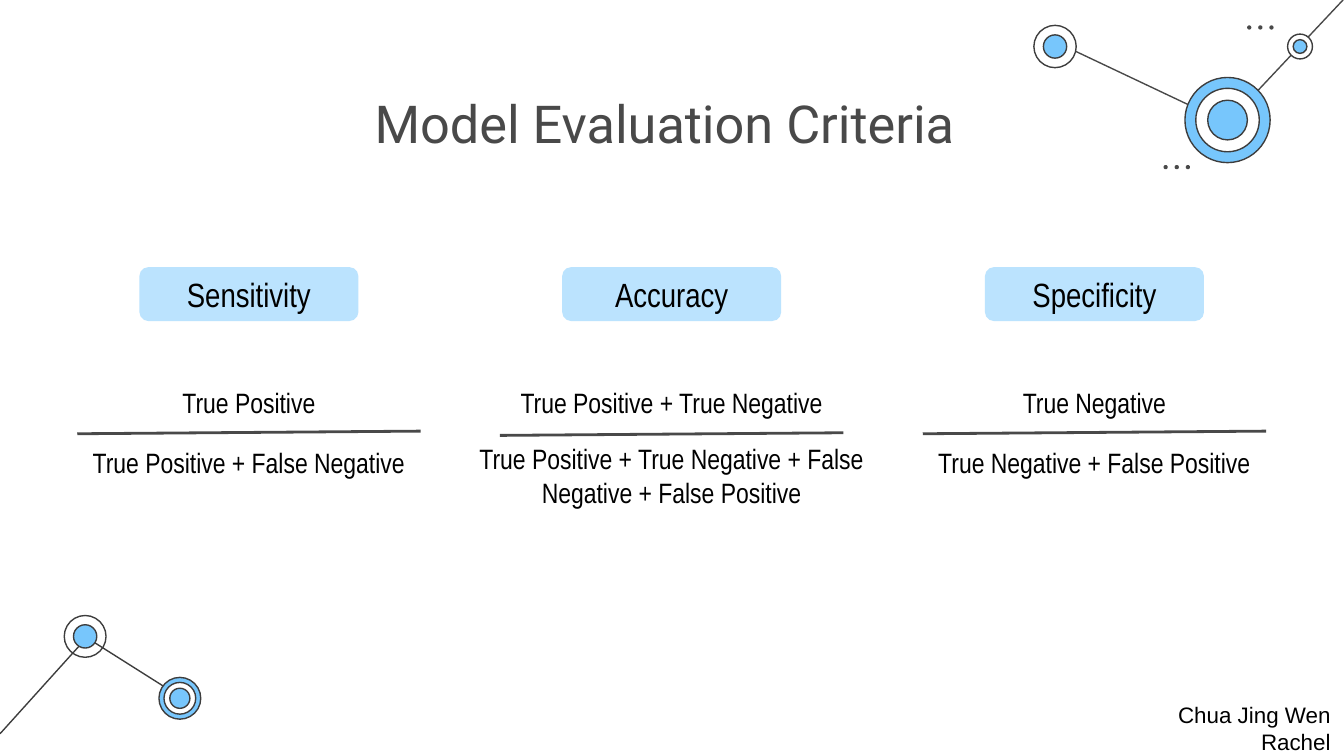
from dataclasses import dataclass

from lxml.etree import SubElement
from pptx import Presentation
from pptx.dml.color import RGBColor
from pptx.enum.shapes import MSO_CONNECTOR as Connector, MSO_SHAPE as Shape
from pptx.enum.text import MSO_ANCHOR as Anchor, MSO_AUTO_SIZE as AutoSize, PP_ALIGN as Align
from pptx.oxml.ns import qn
from pptx.util import Cm, Pt

BLACK = RGBColor(0x00, 0x00, 0x00)
WHITE = RGBColor(0xFF, 0xFF, 0xFF)
INK = RGBColor(0x3D, 0x3D, 0x3D)
GRAY = RGBColor(0x49, 0x49, 0x49)
BLUE = RGBColor(0x77, 0xC6, 0xFC)
PALE_BLUE = RGBColor(0xBB, 0xE3, 0xFE)

INSET = 0.25


@dataclass
class Box:
    """An area of the slide, in centimetres."""
    left: float
    top: float
    width: float
    height: float

    def lengths(self):
        return Cm(self.left), Cm(self.top), Cm(self.width), Cm(self.height)


@dataclass
class Criterion:
    name: str
    numerator: str
    denominator: str
    numerator_width: float
    denominator_width: float = 8.3
    bar_shift: float = 0
    denominator_shift: float = 0


CRITERIA = [
    Criterion("Sensitivity", "True Positive", "True Positive + False Negative", 3.53),
    Criterion("Accuracy", "True Positive + True Negative",
              "True Positive + True Negative + False Negative + False Positive",
              7.09, 7.95, 0.03, -0.08),
    Criterion("Specificity", "True Negative", "True Negative + False Positive", 3.53),
]


def write(shape, text, font_name, size, color=BLACK, align=Align.CENTER):
    frame = shape.text_frame
    frame.word_wrap = True
    frame.margin_left = frame.margin_right = Cm(INSET)
    frame.margin_top = frame.margin_bottom = Cm(INSET)
    frame.text = text
    paragraph = frame.paragraphs[0]
    paragraph.alignment = align
    font = paragraph.runs[0].font
    font.name, font.size, font.color.rgb = font_name, Pt(size), color


def add_text(slide, box, *text_and_format, **options):
    label = slide.shapes.add_textbox(*box.lengths())
    write(label, *text_and_format, **options)
    return label


def add_line(slide, start, end, color, weight):
    line = slide.shapes.add_connector(
        Connector.STRAIGHT, *(Cm(value) for value in (*start, *end)))
    line.line.color.rgb = color
    line.line.width = Pt(weight)
    SubElement(line._element.spPr, qn("a:effectLst"))


def add_circle(slide, center, diameter, fill, outline=None):
    x, y = center
    box = Box(x - diameter / 2, y - diameter / 2, diameter, diameter)
    circle = slide.shapes.add_shape(Shape.OVAL, *box.lengths())
    circle.shadow.inherit = False
    if fill is None:
        circle.fill.background()
    else:
        circle.fill.solid()
        circle.fill.fore_color.rgb = fill
    if outline is None:
        circle.line.fill.background()
    else:
        circle.line.color.rgb = outline
        circle.line.width = Pt(0.75)


def add_node(slide, center, rings):
    """Draw concentric circles from (diameter, fill) pairs, outermost first."""
    for diameter, fill in rings:
        add_circle(slide, center, diameter, fill, INK)


def add_ellipsis(slide, x, y):
    for step in range(3):
        add_circle(slide, (x + step * 0.21, y), 0.08, GRAY)


def add_upper_network(slide, box):
    def at(x, y):
        return box.left + x, box.top + y

    right = box.width
    hub, left_node, right_node = at(3.67, 2.27), at(0.41, 0.88), at(5.04, 0.88)
    add_line(slide, at(3.67, 2.33), at(0.46, 0.81), GRAY, 0.75)
    add_line(slide, at(right, -0.02), at(3.67, 2.32), GRAY, 0.75)
    add_node(slide, hub, [(1.61, BLUE), (1.2, WHITE), (0.75, BLUE)])
    add_node(slide, left_node, [(0.8, WHITE), (0.44, BLUE)])
    add_node(slide, right_node, [(0.47, WHITE), (0.26, BLUE)])
    add_ellipsis(slide, *at(4.08, 0.52))
    add_ellipsis(slide, *at(2.5, 3.16))


def add_lower_network(slide, box):
    def at(x, y):
        return box.left + x, box.top + y

    add_line(slide, at(1.65, 0.43), at(3.5, 1.6), INK, 0.75)
    add_line(slide, at(0, box.height), at(1.65, 0.41), INK, 0.75)
    add_node(slide, at(1.61, 0.4), [(0.79, None), (0.44, BLUE)])
    add_node(slide, at(3.4, 1.57), [(0.79, BLUE), (0.6, WHITE), (0.38, BLUE)])


def add_criterion(slide, box, criterion):
    """Place a name badge above a fraction, centred in the box."""
    center = box.left + box.width / 2

    def centered(top, width, height):
        return Box(center - width / 2, box.top + top, width, height)

    badge = slide.shapes.add_shape(
        Shape.ROUNDED_RECTANGLE, *centered(0, 4.14, 1.02).lengths())
    badge.shadow.inherit = False
    badge.fill.solid()
    badge.fill.fore_color.rgb = PALE_BLUE
    badge.line.fill.background()
    write(badge, criterion.name, "Arial Narrow", 18)
    badge.text_frame.vertical_anchor = Anchor.MIDDLE

    denominator_height = 1.8 if criterion.denominator_shift else 1.14
    terms = [
        (criterion.numerator, centered(1.98, criterion.numerator_width, 1.14)),
        (criterion.denominator,
         centered(3.13 + criterion.denominator_shift, criterion.denominator_width,
                  denominator_height)),
    ]
    for term, term_box in terms:
        label = add_text(slide, term_box, term, "Arial Narrow", 15)
        label.text_frame.auto_size = AutoSize.SHAPE_TO_FIT_TEXT

    bar = centered(3.15 + criterion.bar_shift, 6.49, -0.05)
    add_line(slide, (bar.left, bar.top), (bar.left + bar.width, bar.top + bar.height),
             GRAY, 1.5)


def add_criteria(slide, box):
    width = box.width / len(CRITERIA)
    for column, criterion in enumerate(CRITERIA):
        column_box = Box(box.left + column * width, box.top, width, box.height)
        add_criterion(slide, column_box, criterion)


def main():
    deck = Presentation()
    deck.slide_width, deck.slide_height = Cm(25.4), Cm(14.29)
    slide = deck.slides.add_slide(deck.slide_layouts[6])
    add_lower_network(slide, Box(0, 11.63, 3.8, 2.24))
    add_upper_network(slide, Box(19.53, 0, 5.87, 3.2))
    add_text(slide, Box(1.86, 1.47, 21.39, 1.6),
             "Model Evaluation Criteria", "Roboto", 28, GRAY)
    add_criteria(slide, Box(0.71, 5.05, 23.97, 4.9))
    add_text(slide, Box(21.89, 13, 3.51, 1.07),
             "Chua Jing Wen Rachel", "Arial", 12, align=Align.RIGHT)
    deck.save("out.pptx")


if __name__ == "__main__":
    main()
